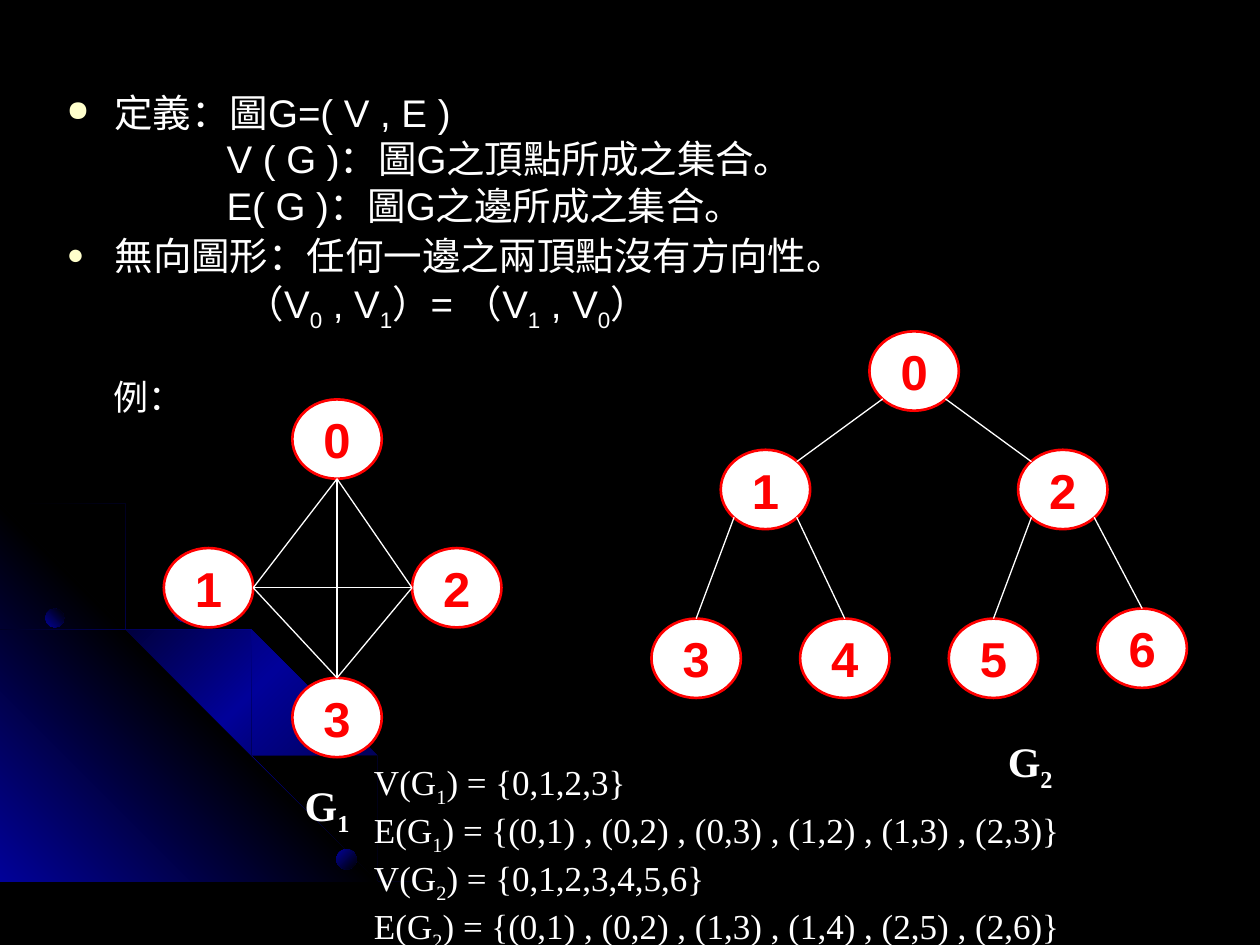
from lxml.etree import SubElement
from pptx import Presentation
from pptx.dml.color import RGBColor
from pptx.enum.shapes import MSO_CONNECTOR, MSO_SHAPE
from pptx.enum.text import MSO_ANCHOR, MSO_AUTO_SIZE, PP_ALIGN
from pptx.oxml.ns import qn
from pptx.util import Inches, Pt

BLACK = RGBColor(0, 0, 0)
WHITE = RGBColor(255, 255, 255)
RED = RGBColor(255, 0, 0)
BLUE = RGBColor(1, 1, 153)
CREAM = RGBColor(255, 255, 204)

BODY = {"name": "Arial", "size": Pt(22), "bold": False}
SMALL = {"name": "Arial", "size": Pt(20), "bold": False}
SETS = {"name": "Times New Roman", "size": Pt(20), "bold": False}
LABEL = {"name": "Times New Roman", "size": Pt(24), "bold": True}
NODE = {"name": "Arial", "size": Pt(28), "bold": True}


def write(frame, lines, style, color=WHITE):
    for row, line in enumerate(lines):
        para = frame.paragraphs[0] if row == 0 else frame.add_paragraph()
        first, *rest = line.split("_")
        parts = [(first, False)]
        for part in rest:
            parts += [(part[0], True), (part[1:], False)]
        for text, sub in parts:
            if text:
                run = para.add_run()
                run.text = text
                for key, value in style.items():
                    setattr(run.font, key, value)
                run.font.color.rgb = color
                if sub:
                    run.font._element.set("baseline", "-25000")


def shade(shape, colors, angle):
    shape.shadow.inherit = False
    shape.line.fill.background()
    shape.fill.gradient()
    shape.fill.gradient_angle = angle
    stops = shape._element.spPr.find(".//" + qn("a:gsLst"))
    stops.clear()
    for rank, color in enumerate(colors):
        place = round(100000 * rank / (len(colors) - 1))
        stop = SubElement(stops, qn("a:gs"), pos=str(place))
        SubElement(stop, qn("a:srgbClr"), val=str(color))


deck = Presentation()
deck.slide_width, deck.slide_height = Inches(10), Inches(7.5)
slide = deck.slides.add_slide(deck.slide_layouts[1])
slide.background.fill.solid()
slide.background.fill.fore_color.rgb = BLACK
shapes = slide.shapes
title = shapes.title._element
title.getparent().remove(title)

ARCS = [
    [(0, 4.35), (0.28, 4.41), (0.57, 4.47), (0.98, 4.59), (1.36, 4.77), (1.74, 4.97),
     (2.09, 5.21), (2.42, 5.48), (2.72, 5.78), (3, 6.11), (3.25, 6.48),
     (3.39, 6.73), (3.52, 6.98), (3.62, 7.23), (3.72, 7.49)],
    [(0, 4.75), (0.41, 4.88), (0.79, 5.05), (1.17, 5.26), (1.52, 5.49), (1.84, 5.76),
     (2.15, 6.06), (2.42, 6.4), (2.66, 6.76), (2.86, 7.12), (2.96, 7.3), (3.03, 7.49)],
    [(0, 4.42), (0.39, 4.55), (0.76, 4.73), (1.11, 4.93), (1.44, 5.16), (1.75, 5.43),
     (2.04, 5.73), (2.29, 6.03), (2.54, 6.39), (2.69, 6.65), (2.82, 6.93),
     (2.94, 7.2), (3.03, 7.49)],
]
bands = []
for arc in ARCS:
    inner = [(max(0, x - 0.02), min(7.49, y + 0.02)) for x, y in reversed(arc)]
    bands.append((arc + inner, [BLACK, BLUE, BLACK], 315))
bands.insert(1, ([(0, 4.27), (3.22, 7.49), (0, 7.49)], [BLUE, BLACK, BLUE], 45))
for points, colors, angle in bands:
    pen = shapes.build_freeform(*points[0], scale=Inches(1))
    pen.add_line_segments(points[1:])
    shade(pen.convert_to_shape(), colors, angle)

for x, y, size, angle in [(0.36, 4.83, 0.15, 45), (2.67, 6.74, 0.16, 315),
                          (1.37, 4.73, 0.21, 45)]:
    dot = shapes.add_shape(MSO_SHAPE.OVAL, *map(Inches, (x, y, size, size)))
    shade(dot, [BLUE, BLACK], angle)

body = slide.placeholders[1]
body.left, body.top, body.width, body.height = map(Inches, (0.43, 1.86, 8.99, 0.87))
body.text_frame.auto_size = MSO_AUTO_SIZE.NONE
write(body.text_frame, ["無向圖形：任何一邊之兩頂點沒有方向性。",
                        "（V_0 , V_1）= （V_1 , V_0）"], BODY)
for para in body.text_frame.paragraphs:
    para.line_spacing = 0.8
    para.space_before = Pt(4.4)

TEXTS = [
    ((0.43, 0.66, 7.95, 1.2), BODY,
     ["定義：圖G=( V , E )", "V ( G )：圖G之頂點所成之集合。", "E( G )：圖G之邊所成之集合。"]),
    ((0.8, 2.93, 0.9, 0.43), SMALL, ["例："]),
    ((2.32, 6.14, 0.7, 0.5), LABEL, ["G_1"]),
    ((7.9, 5.79, 0.7, 0.5), LABEL, ["G_2"]),
    ((2.87, 5.99, 6, 1.45), SETS,
     ["V(G_1) = {0,1,2,3}",
      "E(G_1) = {(0,1) , (0,2) , (0,3) , (1,2) , (1,3) , (2,3)}",
      "V(G_2) = {0,1,2,3,4,5,6}",
      "E(G_2) = {(0,1) , (0,2) , (1,3) , (1,4) , (2,5) , (2,6)}"]),
]
frames = []
for area, style, lines in TEXTS:
    frame = shapes.add_textbox(*map(Inches, area)).text_frame
    frame.word_wrap = True
    write(frame, lines, style)
    frames.append(frame)

for frame, inset in [(frames[0], 1.27), (body.text_frame, 1.42)]:
    for row, para in enumerate(frame.paragraphs):
        props = para._p.get_or_add_pPr()
        props.set("marL", str(Inches(inset if row else 0.38)))
        props.set("indent", str(Inches(0 if row else -0.38)))
        if row:
            SubElement(props, qn("a:buNone"))
        else:
            tint = SubElement(props, qn("a:buClr"))
            SubElement(tint, qn("a:srgbClr"), val=str(CREAM))
            SubElement(props, qn("a:buSzPct"), val="75000")
            SubElement(props, qn("a:buChar"), char="●")

WIDE, HIGH = 0.71, 0.63
PORTS = {"n": (0.5, 0), "s": (0.5, 1), "w": (0, 0.5), "e": (1, 0.5),
         "nw": (0.15, 0.15), "ne": (0.85, 0.15), "sw": (0.15, 0.85), "se": (0.85, 0.85)}
GRAPHS = [
    ([(2.32, 3.17), (1.3, 4.35), (3.27, 4.35), (2.32, 5.38)],
     [(0, "s", 3, "n"), (0, "s", 1, "e"), (1, "e", 2, "w"),
      (0, "s", 2, "w"), (1, "e", 3, "n"), (2, "w", 3, "n")]),
    ([(6.9, 2.63), (5.72, 3.57), (8.08, 3.57), (5.17, 4.91),
      (6.35, 4.91), (7.53, 4.91), (8.71, 4.83)],
     [(0, "sw", 1, "ne"), (0, "se", 2, "nw"), (1, "sw", 3, "n"),
      (1, "se", 4, "n"), (2, "sw", 5, "n"), (2, "se", 6, "n")]),
]
for nodes, edges in GRAPHS:
    for name, (x, y) in enumerate(nodes):
        node = shapes.add_shape(MSO_SHAPE.FLOWCHART_CONNECTOR,
                                *map(Inches, (x, y, WIDE, HIGH)))
        node.shadow.inherit = False
        node.fill.solid()
        node.fill.fore_color.rgb = WHITE
        node.line.color.rgb = RED
        node.line.width = Pt(1.5)
        frame = node.text_frame
        frame.word_wrap = False
        frame.vertical_anchor = MSO_ANCHOR.MIDDLE
        write(frame, [str(name)], NODE, RED)
        frame.paragraphs[0].alignment = PP_ALIGN.CENTER
    for start, out, end, into in edges:
        ends = []
        for index, port in [(start, out), (end, into)]:
            (x, y), (across, down) = nodes[index], PORTS[port]
            ends += [Inches(x + across * WIDE), Inches(y + down * HIGH)]
        edge = shapes.add_connector(MSO_CONNECTOR.STRAIGHT, *ends)
        edge.line.color.rgb = WHITE
        edge.line.width = Pt(0.75)
        SubElement(edge._element.spPr, qn("a:effectLst"))

deck.save("out.pptx")
